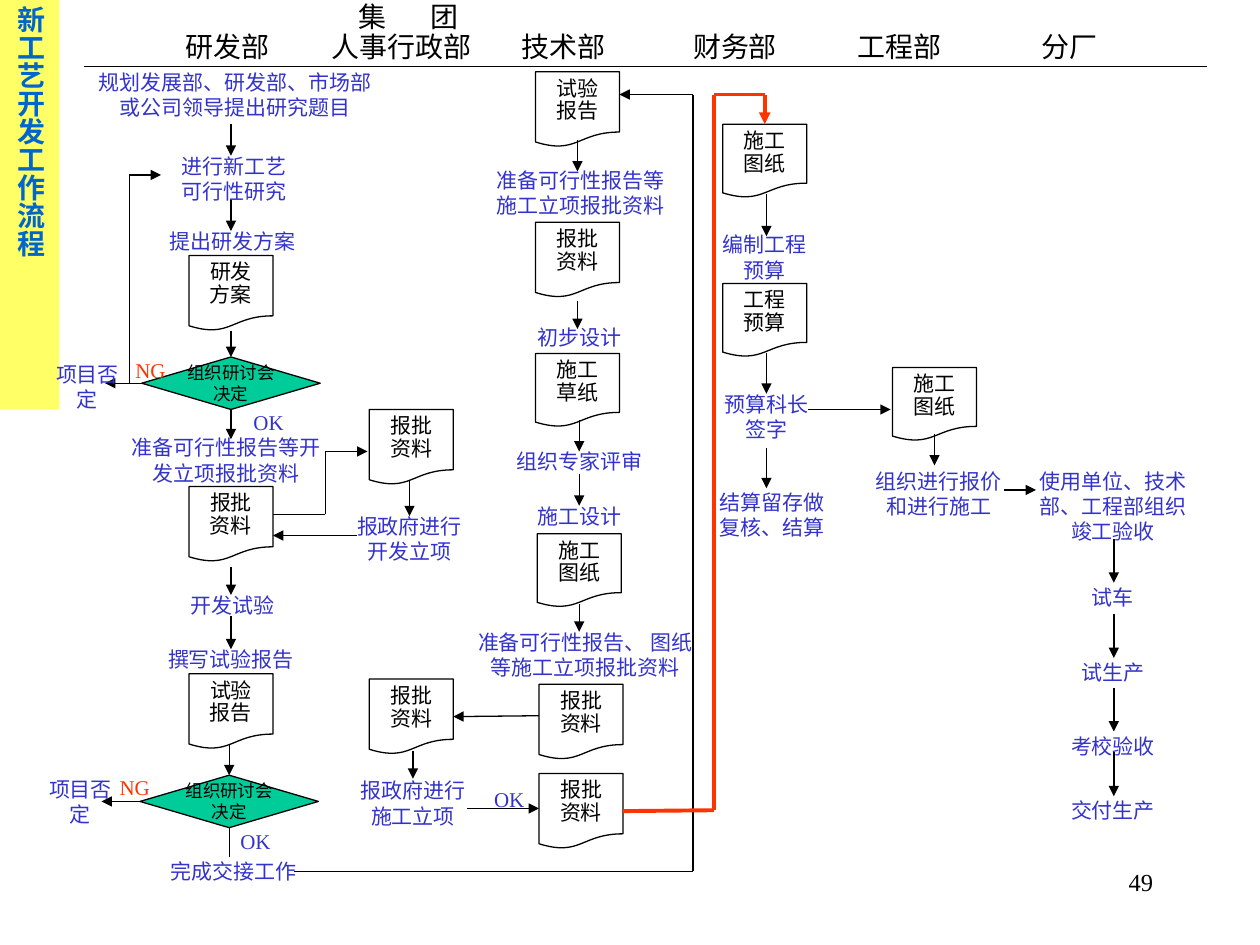
from pptx import Presentation
from pptx.util import Pt
from pptx.dml.color import RGBColor
from pptx.enum.shapes import MSO_SHAPE as Kind, MSO_CONNECTOR as Link
from pptx.enum.text import PP_ALIGN as Align, MSO_ANCHOR as Anchor, MSO_AUTO_SIZE as Fit
from pptx.oxml.ns import qn
from lxml.etree import SubElement

BLACK, BLUE, RED = "000000", "3333CC", "FF3300"
hue = RGBColor.from_string


def write(shape, text, size=12, color=BLUE, align=Align.CENTER, gap=1.0):
    frame = shape.text_frame
    frame.word_wrap = True
    frame.text = text
    para = frame.paragraphs[0]
    para.alignment = align
    para.line_spacing = gap
    for run in para.runs:
        run.font.size = Pt(size)
        run.font.name = "Times New Roman"
        run.font.color.rgb = hue(color)
    return para


def stops(para, spots):
    tabs = SubElement(para._p.get_or_add_pPr(), qn("a:tabLst"))
    for spot in spots:
        SubElement(tabs, qn("a:tab"), pos=str(Pt(spot)), algn="l")


deck = Presentation()
deck.slide_width, deck.slide_height = Pt(720), Pt(540)
slide = deck.slides.add_slide(deck.slide_layouts[5])
shapes = slide.shapes

title = shapes.title
title.left, title.top, title.width, title.height = Pt(0), Pt(0), Pt(34), Pt(234)
title.fill.solid()
title.fill.fore_color.rgb = hue("FFFF66")
write(title, "新工艺开发工作流程", 16, "0066CC", Align.JUSTIFY).runs[0].font.bold = True
title.text_frame.auto_size = Fit.NONE
title.text_frame.vertical_anchor = Anchor.TOP
title.text_frame._txBody.bodyPr.set("vert", "eaVert")

head = shapes.add_textbox(Pt(99), Pt(17), Pt(567), Pt(22))
para = write(head, "研发部\t人事行政部\t技术部\t财务部\t工程部\t分厂", 16, BLACK, Align.LEFT, 0.8)
stops(para, (83.5, 192, 290, 384, 489))
group = shapes.add_textbox(Pt(198), Pt(-4), Pt(90), Pt(27))
stops(write(group, "集\t团", 16, BLACK, Align.LEFT), (41,))

docs = [
    (108, 146, 43, "研发方案"), (108, 385, 43, "试验报告"),
    (306, 41, 43, "试验报告"), (108, 278, 43, "报批资料"),
    (211, 234, 43, "报批资料"), (306, 127, 43, "报批资料"),
    (306, 202, 42, "施工草纸"), (307, 305, 42, "施工图纸"),
    (308, 391, 43, "报批资料"), (211, 388, 43, "报批资料"),
    (308, 442, 43, "报批资料"), (510, 210, 42, "施工图纸"),
    (413, 71, 42, "施工图纸"), (413, 162, 42, "工程预算"),
]
nodes = []
for x, y, h, text in docs:
    doc = shapes.add_shape(Kind.FLOWCHART_DOCUMENT, Pt(x), Pt(y), Pt(48), Pt(h))
    doc.fill.solid()
    doc.fill.fore_color.rgb = hue("FFFFFF")
    write(doc, text, 12, BLACK, gap=0.9)
    doc.text_frame.vertical_anchor = Anchor.TOP
    nodes.append(doc)

for x, y in ((81, 204), (80, 443)):
    gate = shapes.add_shape(Kind.FLOWCHART_DECISION, Pt(x), Pt(y), Pt(102), Pt(30))
    gate.fill.solid()
    gate.fill.fore_color.rgb = hue("00CC99")
    write(gate, "组织研讨会决定", 10, BLACK)
    frame = gate.text_frame
    frame.vertical_anchor = Anchor.MIDDLE
    frame.margin_left = frame.margin_right = frame.margin_top = frame.margin_bottom = 0
    nodes.append(gate)

for node in nodes:
    node.shadow.inherit = False
    node.line.color.rgb = hue(BLACK)
    node.line.width = Pt(0.75)

arrows = [
    (132, 71, 132, 89), (132, 114, 132, 132), (132, 189, 132, 204),
    (132, 234, 132, 251), (132, 324, 132, 340), (132, 352, 132, 371),
    (131, 426, 131, 443), (81, 219, 60, 219), (80, 458, 58, 458),
    (74, 100, 92, 100), (204, 306, 156, 306), (186, 258, 210, 258),
    (234, 275, 234, 295), (236, 429, 236, 445), (267, 462, 308, 462),
    (308, 409, 259, 409), (396, 54, 354, 54), (330, 80, 330, 98),
    (330, 172, 330, 188), (331, 240, 331, 258), (331, 271, 331, 289),
    (331, 345, 331, 361), (438, 111, 438, 135), (438, 202, 438, 225),
    (438, 256, 438, 279), (462, 234, 509, 234), (534, 248, 534, 266),
    (574, 280, 592, 280), (636.5, 308, 636.5, 333), (636.5, 351, 636.5, 376),
    (636.5, 393, 636.5, 418), (636.5, 430, 636.5, 455),
]
plain = [
    (48, 38, 690, 38), (74, 219, 74, 100), (131, 473, 131, 490),
    (168, 498, 396, 498), (396, 498, 396, 54),
    (156, 294, 186, 294), (186, 294, 186, 258),
]
thick = [(356, 463, 408, 463), (408, 463, 408, 54), (408, 54, 437, 54)]
kinds = (
    (plain, BLACK, 0.75, False), (arrows, BLACK, 0.75, True),
    (thick, RED, 2.25, False), ([(437, 54, 437, 71)], RED, 2.25, True),
)
for ends, color, width, tip in kinds:
    for x1, y1, x2, y2 in ends:
        line = shapes.add_connector(Link.STRAIGHT, Pt(x1), Pt(y1), Pt(x2), Pt(y2))
        line.line.color.rgb = hue(color)
        line.line.width = Pt(width)
        prop = line._element.spPr
        if tip:
            SubElement(prop.find(qn("a:ln")), qn("a:tailEnd"), type="triangle")
        SubElement(prop, qn("a:effectLst"))
        for tie, x, y in ((line.begin_connect, x1, y1), (line.end_connect, x2, y2)):
            for node in nodes:
                l, t, w, h = (v.pt for v in (node.left, node.top, node.width, node.height))
                sides = ((l + w / 2, t), (l, t + h / 2), (l + w / 2, t + h), (l + w, t + h / 2))
                for side, (a, b) in enumerate(sides):
                    if abs(a - x) + abs(b - y) < 0.6:
                        tie(node, side)

notes = [
    (49, 36, 171, 2, "规划发展部、研发部、市场部或公司领导提出研究题目"),
    (93, 84, 81, 2, "进行新工艺可行性研究"), (88, 127, 90, 1, "提出研发方案"),
    (24.5, 203, 51, 2, "项目否定"), (20.5, 440, 51, 2, "项目否定"),
    (132.5, 230.5, 42, 1, "OK"), (125, 470, 42, 1, "OK"), (270, 446, 42, 1, "OK"),
    (66, 245, 126, 2, "准备可行性报告等开发立项报批资料"),
    (96.5, 335, 73, 1, "开发试验"), (84, 366, 96, 1, "撰写试验报告"),
    (86, 487, 95, 1, "完成交接工作"),
    (192, 290, 84, 2, "报政府进行开发立项"), (194, 441, 84, 2, "报政府进行施工立项"),
    (274, 92, 116, 2, "准备可行性报告等施工立项报批资料"),
    (294.5, 182, 73, 1, "初步设计"), (277, 253, 108, 1, "组织专家评审"),
    (294.5, 284, 73, 1, "施工设计"),
    (265, 356, 139, 2, "准备可行性报告、 图纸等施工立项报批资料"),
    (402, 129, 70, 2, "编制工程预算"), (403, 220, 70, 2, "预算科长签字"),
    (399, 276, 84, 2, "结算留存做复核、结算"),
    (491, 264, 91, 2, "组织进行报价和进行施工"),
    (582, 264, 108, 3, "使用单位、技术部、工程部组织竣工验收"),
    (584, 330.5, 104, 1, "试车"), (584, 373.5, 104, 1, "试生产"),
    (584, 415.5, 104, 1, "考校验收"), (584, 452, 104, 1, "交付生产"),
    (65, 201, 42, 1, "NG"), (56, 439, 42, 1, "NG"),
]
for x, y, w, rows, text in notes:
    note = shapes.add_textbox(Pt(x), Pt(y), Pt(w), Pt(7.2 + 14.4 * rows))
    write(note, text, color=RED if text == "NG" else BLUE)

page = shapes.add_textbox(Pt(516), Pt(492), Pt(150), Pt(36))
write(page, "49", 14, BLACK, Align.RIGHT)

deck.save("out.pptx")
